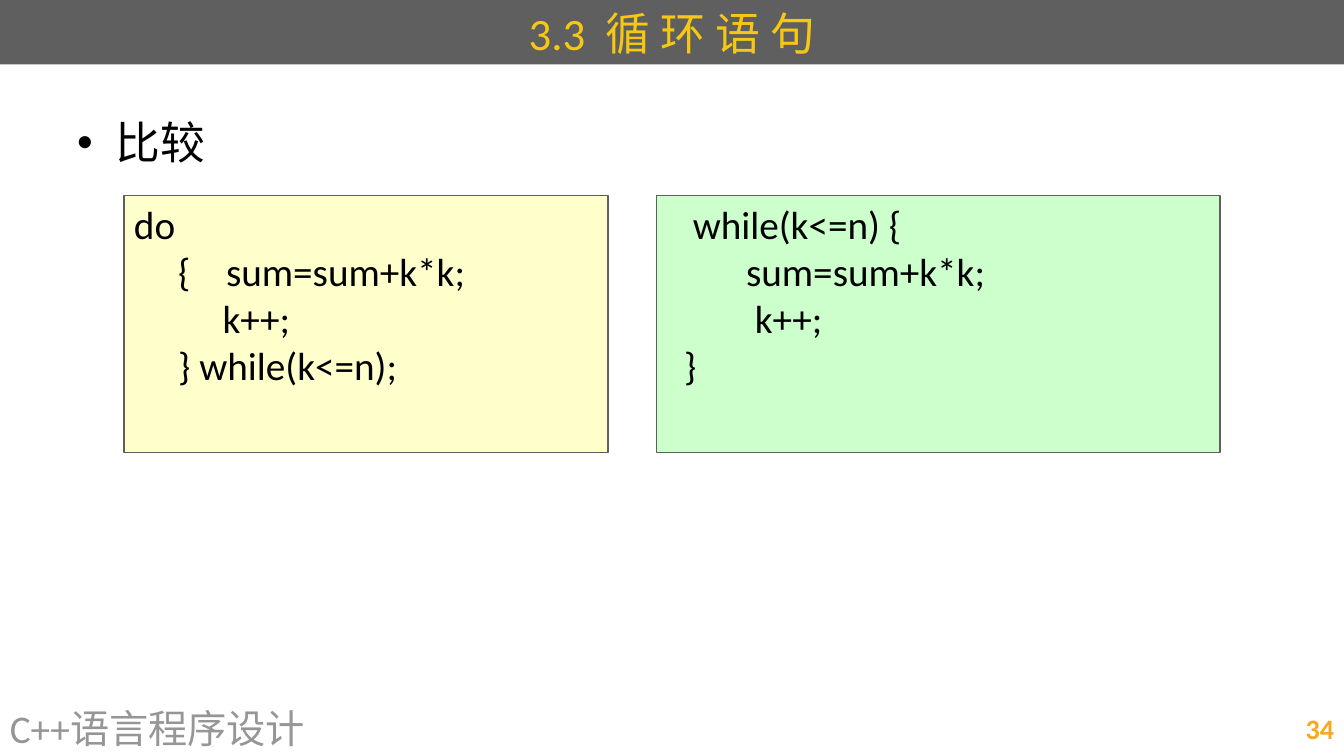
from lxml.etree import SubElement
from pptx import Presentation
from pptx.dml.color import RGBColor
from pptx.enum.shapes import MSO_SHAPE
from pptx.enum.text import MSO_ANCHOR, MSO_AUTO_SIZE, PP_ALIGN
from pptx.oxml.ns import qn
from pptx.util import Inches, Pt

BLACK = RGBColor(0x00, 0x00, 0x00)
SLATE = RGBColor(0x5F, 0x5F, 0x5F)
GOLD = RGBColor(0xF6, 0xC8, 0x13)
ORANGE = RGBColor(0xF8, 0xA7, 0x20)
SILVER = RGBColor(0x96, 0x96, 0x96)
CREAM = RGBColor(0xFF, 0xFF, 0xCC)
MINT = RGBColor(0xCC, 0xFF, 0xCC)

DO_LOOP = """do
     {    sum=sum+k*k;
          k++;
     } while(k<=n);"""
WHILE_LOOP = """   while(k<=n) {
         sum=sum+k*k;
          k++;
  }"""


class Lecture:
    typeface = "Calibri"

    def __init__(self, deck):
        self.deck = deck
        self.slide = deck.slides.add_slide(deck.slide_layouts[5])

    def area(self, left, top, width, height):
        """Turns percentages of the slide into lengths."""
        across, down = self.deck.slide_width, self.deck.slide_height
        return [round(share * side / 100) for share, side in
                ((left, across), (top, down), (width, across), (height, down))]

    def fill_text(self, shape, text, size, color, bold=False,
                  align=PP_ALIGN.LEFT, anchor=MSO_ANCHOR.TOP, bullet=None):
        frame = shape.text_frame
        frame_format = {"word_wrap": True, "auto_size": MSO_AUTO_SIZE.NONE,
                        "vertical_anchor": anchor}
        for name, value in frame_format.items():
            setattr(frame, name, value)
        frame.text = text
        font_format = {"name": self.typeface, "size": Pt(size), "bold": bold}
        for paragraph in frame.paragraphs:
            paragraph.alignment = align
            if bullet:
                properties = paragraph._p.get_or_add_pPr()
                properties.set("marL", str(Inches(0.38)))
                properties.set("indent", str(Inches(-0.38)))
                SubElement(properties, qn("a:buFont"), typeface="Arial")
                SubElement(properties, qn("a:buChar"), char=bullet)
            for run in paragraph.runs:
                for name, value in font_format.items():
                    setattr(run.font, name, value)
                run.font.color.rgb = color

    def title(self, text, area):
        heading = self.slide.shapes.title
        sides = zip(("left", "top", "width", "height"), self.area(*area))
        for name, value in sides:
            setattr(heading, name, value)
        heading.fill.solid()
        heading.fill.fore_color.rgb = SLATE
        self.fill_text(heading, text, 32, GOLD,
                       align=PP_ALIGN.CENTER, anchor=MSO_ANCHOR.MIDDLE)

    def text(self, text, area, size, color, **style):
        label = self.slide.shapes.add_textbox(*self.area(*area))
        self.fill_text(label, text, size, color, **style)

    def code(self, listing, area, color):
        panel = self.slide.shapes.add_shape(
            MSO_SHAPE.RECTANGLE, *self.area(*area))
        panel.shadow.inherit = False
        panel.fill.solid()
        panel.fill.fore_color.rgb = color
        panel.line.color.rgb = SLATE
        panel.line.width = Pt(1)
        self.fill_text(panel, listing, 28, BLACK)


def main():
    deck = Presentation()
    deck.slide_width, deck.slide_height = Inches(13.33), Inches(7.5)
    lecture = Lecture(deck)
    lecture.title("3.3  循 环 语 句", (0, 0, 100, 8.53))
    lecture.text("比较", (5, 14.53, 90, 74.8), 32, BLACK, bullet="•")
    lecture.text("C++语言程序设计", (0, 92.67, 65.87, 7.33), 28, SILVER,
                 anchor=MSO_ANCHOR.MIDDLE)
    lecture.text("34", (71.7, 92.67, 28.3, 7.33), 20, ORANGE, bold=True,
                 align=PP_ALIGN.RIGHT, anchor=MSO_ANCHOR.MIDDLE)
    for listing, left, width, color in ((DO_LOOP, 9.23, 36, CREAM),
                                        (WHILE_LOOP, 48.84, 41.93, MINT)):
        lecture.code(listing, (left, 25.87, width, 34), color)
    deck.save("out.pptx")


if __name__ == "__main__":
    main()
